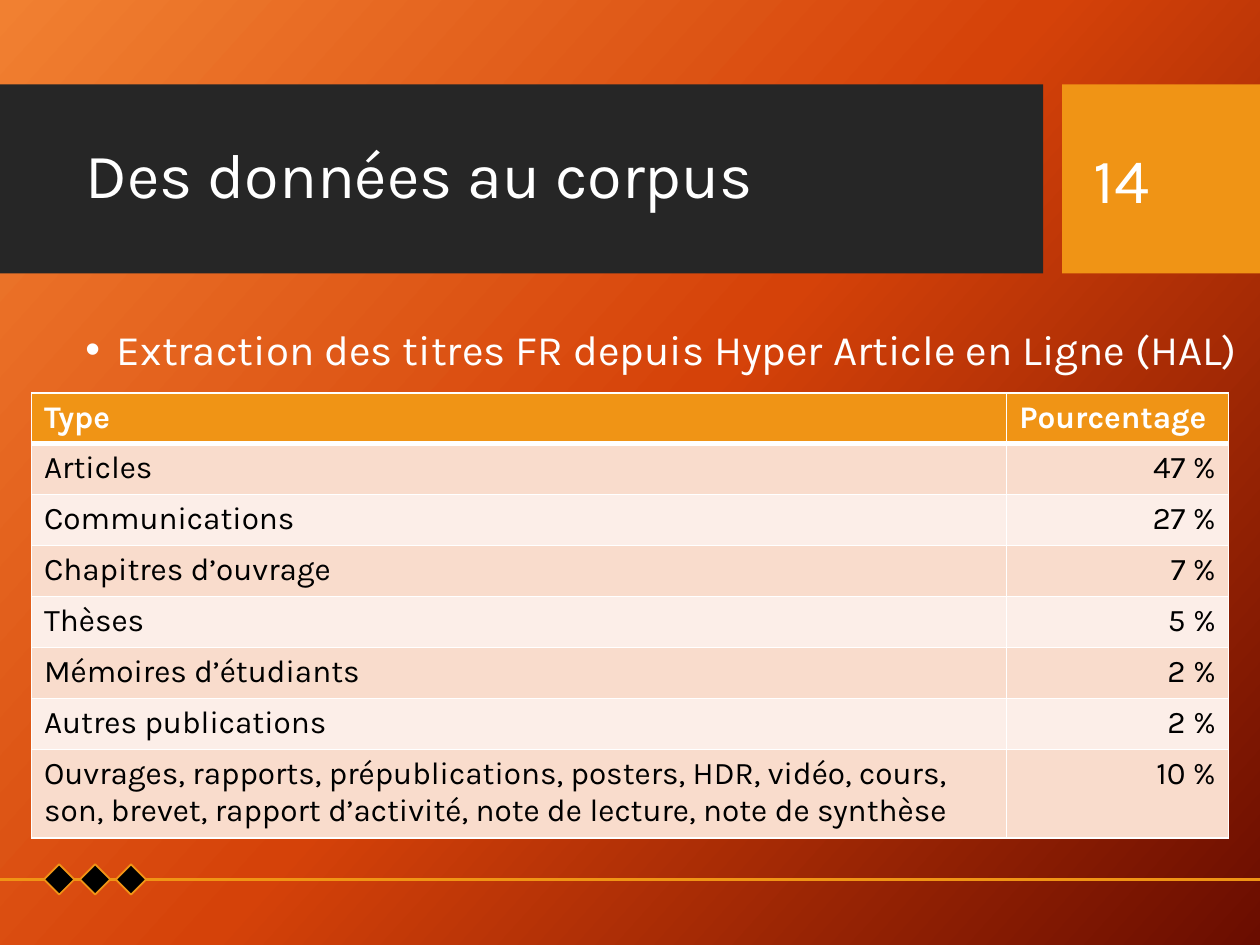
from copy import deepcopy
from lxml.etree import SubElement
from pptx import Presentation
from pptx.dml.color import RGBColor
from pptx.enum.shapes import MSO_CONNECTOR, MSO_SHAPE
from pptx.enum.text import MSO_ANCHOR, PP_ALIGN
from pptx.oxml.ns import qn
from pptx.util import Inches, Pt

FONT = "Karla"
WHITE, BLACK, DARK, GOLD = "FFFFFF", "000000", "262626", "F09415"
BANDS = ("F9DCCC", "FCEEE8")
ROWS = [
    ("Type", "Pourcentage"),
    ("Articles", "47 %"),
    ("Communications", "27 %"),
    ("Chapitres d’ouvrage", "7 %"),
    ("Thèses", "5 %"),
    ("Mémoires d’étudiants", "2 %"),
    ("Autres publications", "2 %"),
    ("Ouvrages, rapports, prépublications, posters, HDR, vidéo, cours, son, "
     "brevet, rapport d’activité, note de lecture, note de synthèse", "10 %"),
]


def paint(item, color):
    """Give a fill or a line one solid colour."""
    fill = getattr(item, "fill", item)
    fill.solid()
    fill.fore_color.rgb = RGBColor.from_string(color)


def style(para, size, color=WHITE, bold=False):
    for run in para.runs:
        run.font.name, run.font.size, run.font.bold = FONT, Pt(size), bold
        run.font.color.rgb = RGBColor.from_string(color)


def backdrop(slide, colors, angle):
    fill = slide.background.fill
    fill.gradient()
    fill.gradient_angle = 360 - angle
    stops = slide.element.find(".//" + qn("a:gsLst"))
    stops.insert(1, deepcopy(stops[0]))
    for i, color in enumerate(colors):
        stop = fill.gradient_stops[i]
        stop.position = i / (len(colors) - 1)
        stop.color.rgb = RGBColor.from_string(color)


def block(slide, kind, x, y, w, h, color, edge=None):
    shape = slide.shapes.add_shape(kind, Inches(x), Inches(y), Inches(w), Inches(h))
    shape.shadow.inherit = False
    paint(shape, color)
    if edge:
        paint(shape.line, edge)
        shape.line.width = Pt(1)
    else:
        shape.line.fill.background()


def label(slide, text, x, y, w, h, size, anchor=MSO_ANCHOR.MIDDLE,
          space=1.0, bullet=None):
    box = slide.shapes.add_textbox(Inches(x), Inches(y), Inches(w), Inches(h))
    frame = box.text_frame
    frame.word_wrap = True
    frame.vertical_anchor = anchor
    frame.text = text
    para = frame.paragraphs[0]
    para.line_spacing = space
    if bullet:
        props = para._p.get_or_add_pPr()
        props.set("marL", str(Inches(0.25)))
        props.set("indent", str(Inches(-0.25)))
        SubElement(props, qn("a:buFont"), typeface="Arial")
        SubElement(props, qn("a:buChar"), char=bullet)
    style(para, size)


def rule(slide, x, y, end):
    line = slide.shapes.add_connector(
        MSO_CONNECTOR.STRAIGHT, Inches(x), Inches(y), Inches(end), Inches(y))
    paint(line.line, GOLD)
    line.line.width = Pt(1.5)
    SubElement(line.element.spPr, qn("a:effectLst"))


def border(cell, widths):
    """Draw white edges; widths run left, right, top, bottom."""
    props = cell._tc.get_or_add_tcPr()
    for side, width in zip("LRTB", widths):
        line = SubElement(props, qn("a:ln" + side), w=str(Pt(width)))
        fill = SubElement(line, qn("a:solidFill"))
        SubElement(fill, qn("a:srgbClr"), val=WHITE)


def grid(slide, x, y, cols, heights):
    table = slide.shapes.add_table(
        len(ROWS), len(cols), Inches(x), Inches(y),
        Inches(sum(cols)), Inches(sum(heights))).table
    for col, width in zip(table.columns, cols):
        col.width = Inches(width)
    for r, (row, height) in enumerate(zip(table.rows, heights)):
        row.height = Inches(height)
        head = r == 0
        for c, cell in enumerate(row.cells):
            cell.text = ROWS[r][c]
            para = cell.text_frame.paragraphs[0]
            if c and not head:
                para.alignment = PP_ALIGN.RIGHT
            style(para, 18, WHITE if head else BLACK, head)
            border(cell, (1, 1, 3 if r == 1 else 1, 3 if head else 1))
            paint(cell, GOLD if head else BANDS[(r - 1) % 2])


def main():
    deck = Presentation()
    deck.slide_width, deck.slide_height = Inches(10), Inches(7.5)
    slide = deck.slides.add_slide(deck.slide_layouts[6])
    backdrop(slide, ("F18031", "D54209", "6A0D00"), 42)

    # Title band and slide number
    block(slide, MSO_SHAPE.RECTANGLE, 0, 0.67, 8.28, 1.5, DARK)
    block(slide, MSO_SHAPE.RECTANGLE, 8.43, 0.67, 1.57, 1.5, GOLD)
    label(slide, "Des données au corpus", 0.58, 0.82, 7.54, 1.18, 36, space=0.9)
    label(slide, "14", 8.58, 0.82, 1.27, 1.19, 36)

    # Bullet line
    label(slide, "Extraction des titres FR depuis Hyper Article en Ligne (HAL)",
          0.58, 2.56, 9.42, 0.5, 24, MSO_ANCHOR.TOP, 0.9, "•")

    # Footer line with diamonds
    rule(slide, 0, 6.98, 10)
    for i in range(3):
        block(slide, MSO_SHAPE.DIAMOND, 0.35 + 0.285 * i, 6.86, 0.24, 0.24, BLACK, GOLD)

    # Shares by type of document
    grid(slide, 0.25, 3.12, (7.74, 1.76), [0.4] + [0.405] * 6 + [0.69])
    deck.save("out.pptx")


if __name__ == "__main__":
    main()
